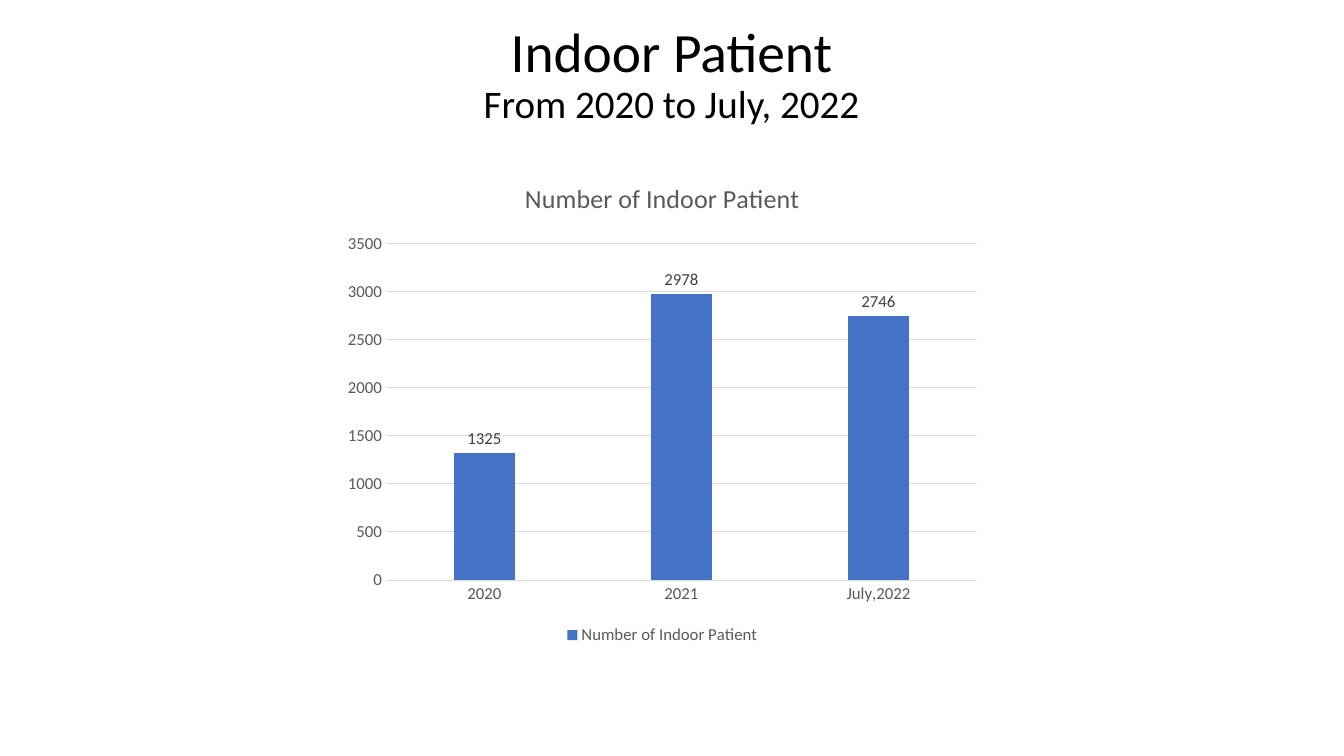
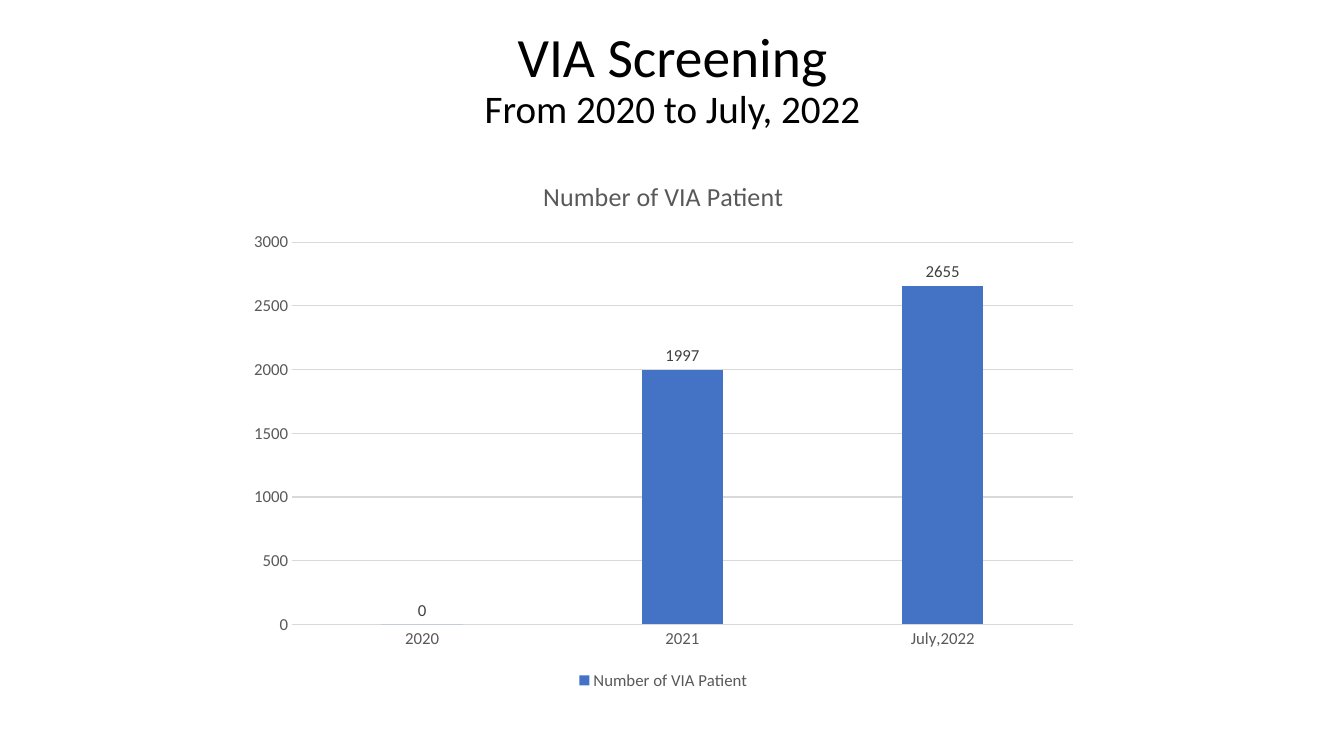
import dataclasses
import typing

import pptx
import pptx.chart.data
import pptx.dml.color
import pptx.enum.chart
import pptx.enum.text
import pptx.util

Inches = pptx.util.Inches
Pt = pptx.util.Pt

FONT = "Calibri"
BLACK = "000000"
BLUE = "4472C4"
TEXT_GREY = "595959"
LABEL_GREY = "404040"
LINE_GREY = "D9D9D9"
TITLE_SIZE = 39.6
PERIOD_SIZE = 27.9
CHART_TITLE_SIZE = 18.6
CHART_TEXT_SIZE = 12
PERIOD = "From 2020 to July, 2022"
YEARS = ("2020", "2021", "July,2022")

TITLE_FRAME_FORMAT = {
    "auto_size": pptx.enum.text.MSO_AUTO_SIZE.NONE,
    "vertical_anchor": pptx.enum.text.MSO_ANCHOR.MIDDLE,
    "word_wrap": True,
}
TITLE_PARAGRAPH_FORMAT = {
    "alignment": pptx.enum.text.PP_ALIGN.CENTER,
    "line_spacing": 0.9,
    "space_before": Pt(0),
}
AXIS_FORMAT = {
    "major_tick_mark": pptx.enum.chart.XL_TICK_MARK.NONE,
    "minor_tick_mark": pptx.enum.chart.XL_TICK_MARK.NONE,
}
PLOT_FORMAT = {"gap_width": 219, "overlap": -27, "vary_by_categories": False}
LABEL_FORMAT = {
    "show_value": True,
    "position": pptx.enum.chart.XL_LABEL_POSITION.OUTSIDE_END,
}
LEGEND_FORMAT = {
    "position": pptx.enum.chart.XL_LEGEND_POSITION.BOTTOM,
    "include_in_layout": False,
}


class Box(typing.NamedTuple):
    left: float
    top: float
    width: float
    height: float

    def lengths(self) -> list[int]:
        return [Inches(value) for value in self]


@dataclasses.dataclass(frozen=True)
class PatientSlide:
    title: str
    title_box: Box
    series_name: str
    counts: tuple[int, ...]
    chart_box: Box


PATIENT_SLIDES = (
    PatientSlide(
        "Indoor Patient",
        Box(0.91, 0.2, 11.5, 1.1),
        "Number of Indoor Patient",
        (1325, 2978, 2746),
        Box(3.32, 1.59, 6.5, 4.85),
    ),
    PatientSlide(
        "VIA Screening",
        Box(0.92, 0.25, 11.5, 1.1),
        "Number of VIA Patient",
        (0, 1997, 2655),
        Box(2.35, 1.56, 8.46, 5.33),
    ),
)


def color(value: str) -> pptx.dml.color.RGBColor:
    return pptx.dml.color.RGBColor.from_string(value)


def apply_format(target: typing.Any, values: dict[str, typing.Any]) -> None:
    for name, value in values.items():
        setattr(target, name, value)


def format_font(font: typing.Any, size: float, font_color: str) -> None:
    apply_format(font, {"name": FONT, "size": Pt(size), "bold": False})
    font.color.rgb = color(font_color)


def format_line(line: typing.Any) -> None:
    line.color.rgb = color(LINE_GREY)
    line.width = Pt(0.75)


def set_title(slide: typing.Any, content: PatientSlide) -> None:
    shape = slide.shapes.title
    places = zip(content.title_box._fields, content.title_box.lengths())
    apply_format(shape, dict(places))
    frame = shape.text_frame
    apply_format(frame, TITLE_FRAME_FORMAT)
    frame.text = f"{content.title}\n{PERIOD}"
    for paragraph, size in zip(frame.paragraphs, (TITLE_SIZE, PERIOD_SIZE)):
        apply_format(paragraph, TITLE_PARAGRAPH_FORMAT)
        format_font(paragraph.runs[0].font, size, BLACK)


def format_axes(chart: typing.Any) -> None:
    for axis in (chart.category_axis, chart.value_axis):
        apply_format(axis, AXIS_FORMAT)
        format_font(axis.tick_labels.font, CHART_TEXT_SIZE, TEXT_GREY)
    format_line(chart.category_axis.format.line)
    chart.value_axis.format.line.fill.background()
    chart.value_axis.has_major_gridlines = True
    format_line(chart.value_axis.major_gridlines.format.line)


def add_patient_chart(slide: typing.Any, content: PatientSlide) -> None:
    data = pptx.chart.data.CategoryChartData()
    data.categories = YEARS
    data.add_series(content.series_name, content.counts)
    chart = slide.shapes.add_chart(
        pptx.enum.chart.XL_CHART_TYPE.COLUMN_CLUSTERED,
        *content.chart_box.lengths(),
        data,
    ).chart
    format_font(chart.font, 10, BLACK)

    chart.has_title = True
    chart.chart_title.include_in_layout = False
    title_frame = chart.chart_title.text_frame
    title_frame.text = content.series_name
    title_run = title_frame.paragraphs[0].runs[0]
    format_font(title_run.font, CHART_TITLE_SIZE, TEXT_GREY)

    chart.has_legend = True
    apply_format(chart.legend, LEGEND_FORMAT)
    format_font(chart.legend.font, CHART_TEXT_SIZE, TEXT_GREY)
    format_axes(chart)

    plot = chart.plots[0]
    apply_format(plot, PLOT_FORMAT)
    series = plot.series[0]
    series.format.fill.solid()
    series.format.fill.fore_color.rgb = color(BLUE)
    apply_format(series.data_labels, LABEL_FORMAT)
    format_font(series.data_labels.font, CHART_TEXT_SIZE, LABEL_GREY)


def main() -> None:
    presentation = pptx.Presentation()
    presentation.slide_width = Inches(13.33)
    presentation.slide_height = Inches(7.5)
    title_only = presentation.slide_layouts.get_by_name("Title Only")
    for content in PATIENT_SLIDES:
        slide = presentation.slides.add_slide(title_only)
        set_title(slide, content)
        add_patient_chart(slide, content)
    presentation.save("out.pptx")


if __name__ == "__main__":
    main()
